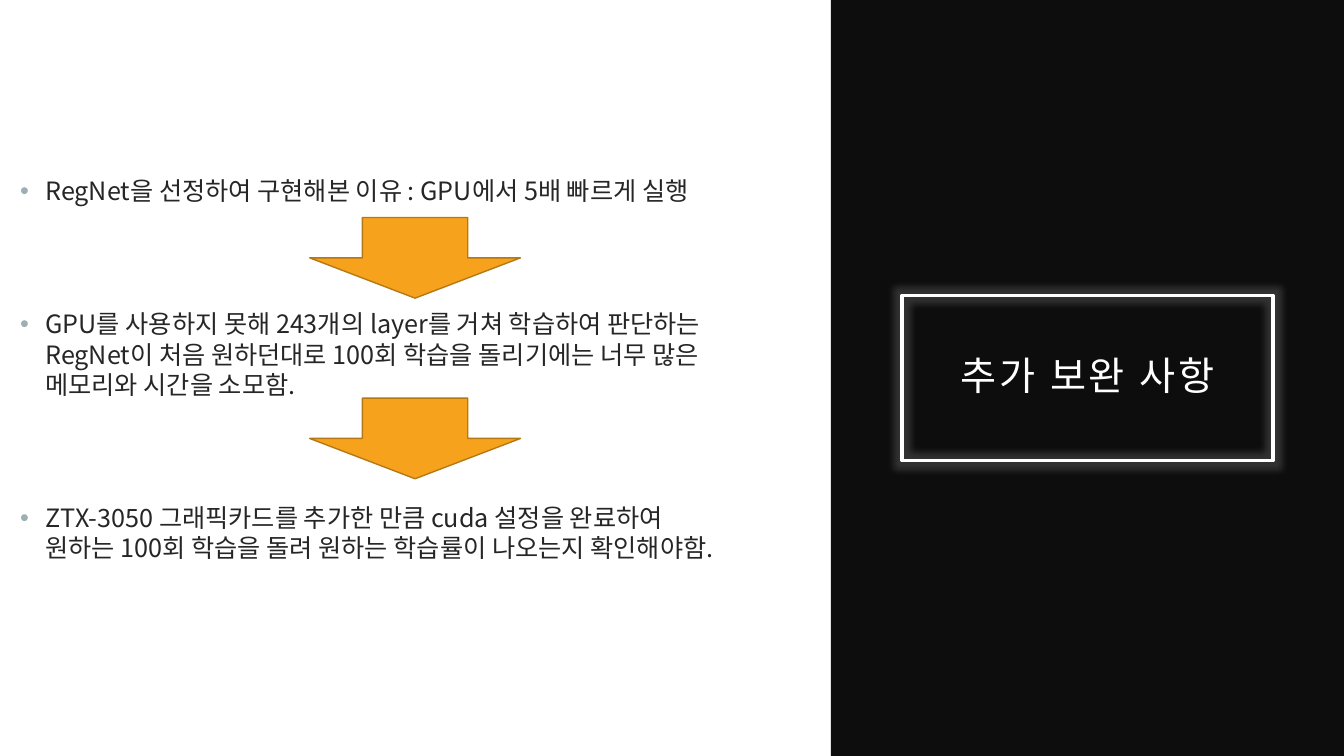
import pptx
import pptx.util
import pptx.dml.color
import pptx.enum.shapes
import pptx.enum.text
import pptx.oxml
import pptx.oxml.ns

Pt = pptx.util.Pt
RGBColor = pptx.dml.color.RGBColor
PP_ALIGN = pptx.enum.text.PP_ALIGN
MSO_ANCHOR = pptx.enum.text.MSO_ANCHOR
MSO_SHAPE = pptx.enum.shapes.MSO_SHAPE

# Content
HEADING = "추가 보완 사항"
STEPS = [
    "RegNet을 선정하여 구현해본 이유 : GPU에서 5배 빠르게 실행",
    "GPU를 사용하지 못해 243개의 layer를 거쳐 학습하여 판단하는\v"
    "RegNet이 처음 원하던대로 100회 학습을 돌리기에는 너무 많은\v"
    "메모리와 시간을 소모함.",
    "ZTX-3050 그래픽카드를 추가한 만큼 cuda 설정을 완료하여 \v"
    "원하는 100회 학습을 돌려 원하는 학습률이 나오는지 확인해야함.",
]

# Look and layout, in points
FONT = "Noto Sans CJK KR"
WHITE = RGBColor(0xFF, 0xFF, 0xFF)
BLACK = RGBColor(0x0D, 0x0D, 0x0D)
INK = RGBColor(0x26, 0x26, 0x26)
BULLET = RGBColor(0x9B, 0xAF, 0xB5)
ORANGE = RGBColor(0xF6, 0xA2, 0x1D)
DARK_ORANGE = RGBColor(0xB6, 0x78, 0x15)

SLIDE_W, SLIDE_H = 960, 540
PANEL_LEFT = 593.5
HEADING_BOX = (644.4, 211, 265, 118)
STEPS_BOX = (7.2, 121.7, 579.6, 412.6)
ARROW_LEFT, ARROW_W, ARROW_H = 221.2, 150.6, 57.6
ARROW_TOPS = (155.4, 284.4)
STEP_GAP = 73.6
INDENT = 18


def place(shape, left, top, width, height):
    shape.left, shape.top = Pt(left), Pt(top)
    shape.width, shape.height = Pt(width), Pt(height)


def add_xml(parent, markup):
    opening = markup.replace(">", f' {pptx.oxml.ns.nsdecls("a")}>', 1)
    parent.append(pptx.oxml.parse_xml(opening))


def write(paragraph, text, *, size, color, spacing, align=PP_ALIGN.LEFT,
          before=0, tracking=0, bullet=None):
    paragraph.text = text
    paragraph.alignment = align
    paragraph.line_spacing = spacing
    paragraph.space_before = Pt(before)
    for run in paragraph.runs:
        run.font.size = Pt(size)
        run.font.name = FONT
        run.font.color.rgb = color
        properties = run.font._element
        properties.set("kern", "0")
        add_xml(properties, f'<a:ea typeface="{FONT}"></a:ea>')
        if tracking:
            properties.set("spc", str(tracking * 100))
    if bullet is not None:
        properties = paragraph._p.get_or_add_pPr()
        properties.set("marL", str(Pt(INDENT)))
        properties.set("indent", str(-Pt(INDENT)))
        add_xml(properties, f'<a:buClr><a:srgbClr val="{bullet}"/></a:buClr>')
        add_xml(properties, '<a:buFont typeface="Arial"></a:buFont>')
        add_xml(properties, '<a:buChar char="•"></a:buChar>')


def add_block(slide, kind, box, fill, line=None):
    block = slide.shapes.add_shape(kind, *map(Pt, box))
    block.shadow.inherit = False
    block.fill.solid()
    block.fill.fore_color.rgb = fill
    if line is None:
        block.line.fill.background()
    else:
        block.line.color.rgb = line
        block.line.width = Pt(1)
    return block


def main():
    deck = pptx.Presentation()
    deck.slide_width, deck.slide_height = Pt(SLIDE_W), Pt(SLIDE_H)
    slide = deck.slides.add_slide(deck.slide_layouts[1])
    slide.background.fill.solid()
    slide.background.fill.fore_color.rgb = WHITE

    # Dark panel, behind the heading
    panel = add_block(slide, MSO_SHAPE.RECTANGLE,
                      (PANEL_LEFT, 0, SLIDE_W - PANEL_LEFT, SLIDE_H), BLACK)
    slide.shapes._spTree.insert(2, panel._element)

    # Framed heading with a soft glow
    heading = slide.shapes.title
    place(heading, *HEADING_BOX)
    heading.fill.background()
    heading.line.color.rgb = WHITE
    heading.line.width = Pt(2.5)
    add_xml(heading._element.spPr,
            f'<a:effectLst><a:glow rad="{Pt(10)}"><a:srgbClr val="{WHITE}">'
            '<a:alpha val="15000"/></a:srgbClr></a:glow></a:effectLst>')
    frame = heading.text_frame
    frame.word_wrap = True
    frame.auto_size = pptx.enum.text.MSO_AUTO_SIZE.NONE
    frame.vertical_anchor = MSO_ANCHOR.MIDDLE
    frame.margin_left = frame.margin_right = Pt(14.4)
    frame.margin_top = frame.margin_bottom = Pt(14.4)
    write(frame.paragraphs[0], HEADING, size=28, color=WHITE, spacing=0.9,
          align=PP_ALIGN.CENTER, tracking=2)

    # Bulleted steps
    steps = slide.placeholders[1]
    place(steps, *STEPS_BOX)
    frame = steps.text_frame
    frame.word_wrap = True
    frame.auto_size = pptx.enum.text.MSO_AUTO_SIZE.NONE
    frame.vertical_anchor = MSO_ANCHOR.TOP
    for number, step in enumerate(STEPS):
        paragraph = frame.add_paragraph() if number else frame.paragraphs[0]
        write(paragraph, step, size=18, color=INK, spacing=1.0,
              before=STEP_GAP if number else 0, bullet=BULLET)

    # Arrows between the steps
    for top in ARROW_TOPS:
        add_block(slide, MSO_SHAPE.DOWN_ARROW,
                  (ARROW_LEFT, top, ARROW_W, ARROW_H), ORANGE, DARK_ORANGE)

    deck.save("out.pptx")


if __name__ == "__main__":
    main()
